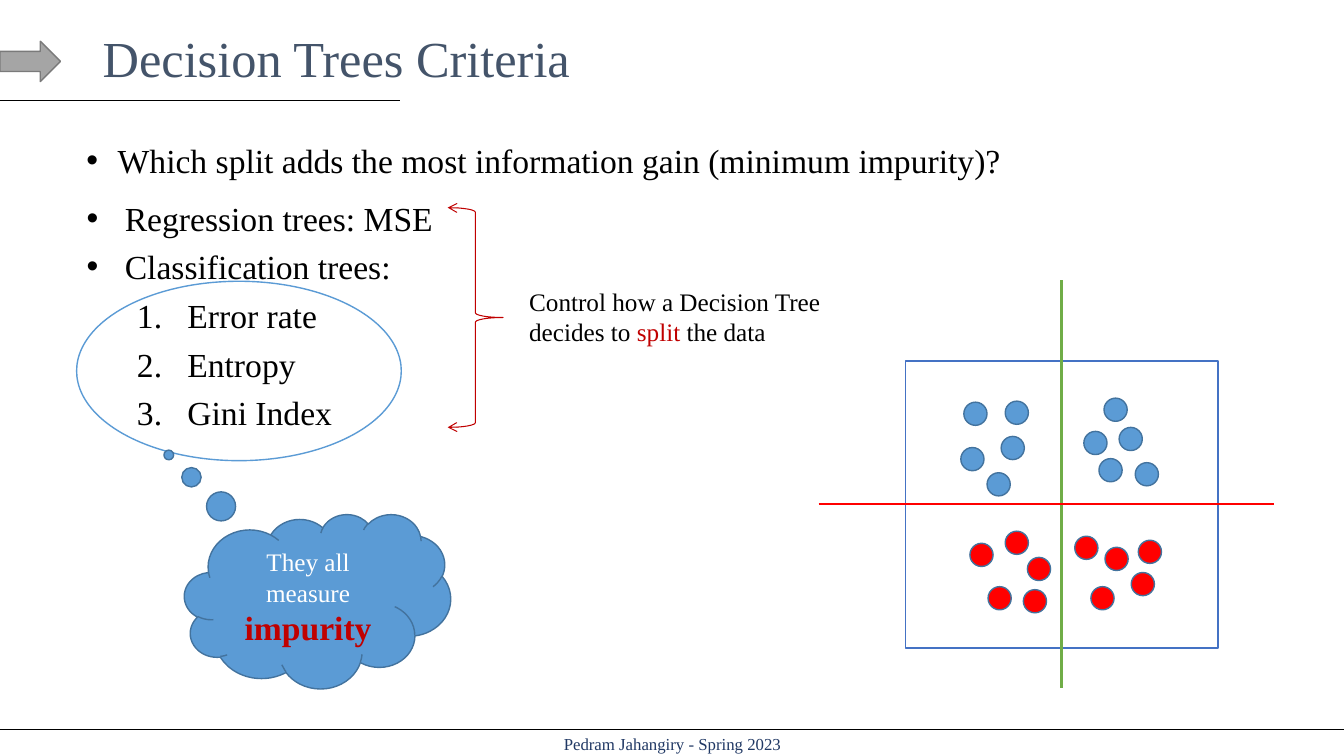
from dataclasses import dataclass

from lxml import etree
from pptx import Presentation
from pptx.dml.color import RGBColor
from pptx.enum.shapes import MSO_CONNECTOR, MSO_SHAPE as Preset
from pptx.enum.text import MSO_ANCHOR as Anchor, PP_ALIGN as Align
from pptx.oxml.ns import qn
from pptx.util import Inches, Pt


@dataclass(frozen=True)
class Theme:
    font: str = "Times New Roman"
    title_size: int = 36
    body_size: int = 24
    note_size: int = 18
    footer_size: int = 12
    black: str = "000000"
    white: str = "FFFFFF"
    title: str = "44546A"
    footer: str = "203864"
    accent: str = "C00000"
    blue: str = "5B9BD5"
    blue_edge: str = "43739E"
    frame: str = "4472C4"
    red: str = "FF0000"
    green: str = "70AD47"
    gray: str = "A5A5A5"
    gray_edge: str = "7A7A7A"


THEME = Theme()
DOT_SIZE = 0.23
BLUE_DOTS = [
    (9.56, 3.99), (9.97, 3.98), (9.53, 4.44), (9.93, 4.33), (9.79, 4.69),
    (10.95, 3.95), (10.75, 4.28), (11.1, 4.24), (10.9, 4.55), (11.26, 4.59),
]
RED_DOTS = [
    (9.62, 5.39), (9.97, 5.27), (10.19, 5.53), (9.8, 5.82), (10.15, 5.85),
    (10.66, 5.32), (10.96, 5.43), (11.29, 5.36), (11.22, 5.68), (10.82, 5.82),
]


def rgb(color):
    return RGBColor.from_string(color)


def add_shape(slide, preset, box, fill=None, edge=None, width=1):
    shape = slide.shapes.add_shape(preset, *map(Inches, box))
    shape.shadow.inherit = False
    if fill:
        shape.fill.solid()
        shape.fill.fore_color.rgb = rgb(fill)
    else:
        shape.fill.background()
    if edge:
        shape.line.color.rgb = rgb(edge)
        shape.line.width = Pt(width)
    else:
        shape.line.fill.background()
    return shape


def add_line(slide, start, end, color, width):
    line = slide.shapes.add_connector(
        MSO_CONNECTOR.STRAIGHT, *map(Inches, start + end))
    line.line.color.rgb = rgb(color)
    line.line.width = Pt(width)
    etree.SubElement(line._element.spPr, qn("a:effectLst"))


def add_arrowheads(shape):
    outline = shape.line._get_or_add_ln()
    for end in ("a:headEnd", "a:tailEnd"):
        etree.SubElement(outline, qn(end), type="arrow")


def add_text_box(slide, box, anchor=Anchor.TOP):
    frame = slide.shapes.add_textbox(*map(Inches, box)).text_frame
    frame.word_wrap = True
    frame.vertical_anchor = anchor
    return frame


def add_run(paragraph, text, size, color, bold=False):
    run = paragraph.add_run()
    run.text = text
    run.font.name = THEME.font
    run.font.size = Pt(size)
    run.font.bold = bold
    run.font.color.rgb = rgb(color)


def set_bullet(paragraph, margin, hanging, numbered=False):
    properties = paragraph._p.get_or_add_pPr()
    properties.set("marL", str(Inches(margin)))
    properties.set("indent", str(-Inches(hanging)))
    if numbered:
        etree.SubElement(properties, qn("a:buFont"), typeface="+mj-lt")
        etree.SubElement(properties, qn("a:buAutoNum"), type="arabicPeriod")
    else:
        etree.SubElement(properties, qn("a:buFont"), typeface="Arial")
        etree.SubElement(properties, qn("a:buChar"), char="•")


def add_header_and_footer(slide):
    add_line(slide, (0, 7.24), (13.33, 7.24), THEME.black, 0.5)
    footer = add_shape(slide, Preset.RECTANGLE, (4.59, 7.26, 4.16, 0.24), THEME.white)
    footer.text_frame.vertical_anchor = Anchor.MIDDLE
    paragraph = footer.text_frame.paragraphs[0]
    paragraph.alignment = Align.CENTER
    add_run(paragraph, "Pedram Jahangiry - Spring 2023", THEME.footer_size, THEME.footer)

    title = add_text_box(slide, (0.92, 0.11, 8.35, 0.82), Anchor.BOTTOM).paragraphs[0]
    title.line_spacing = 0.9
    add_run(title, "Decision Trees Criteria", THEME.title_size, THEME.title)
    add_shape(slide, Preset.RIGHT_ARROW, (0, 0.41, 0.6, 0.4), THEME.gray, THEME.gray_edge)
    add_line(slide, (0, 1), (3.97, 1), THEME.black, 0.5)


def add_criteria(slide):
    # Question and list of criteria
    question = add_text_box(slide, (0.76, 1.34, 9.9, 0.5)).paragraphs[0]
    set_bullet(question, 0.31, 0.31)
    add_run(question, "Which split adds the most information gain (minimum impurity)?",
            THEME.body_size, THEME.black)

    frame = add_text_box(slide, (0.76, 1.91, 3.79, 2.46))
    criteria = [
        ("Regression trees: MSE", 0), ("Classification trees:", 0),
        ("Error rate", 1), ("Entropy", 1), ("Gini Index", 1),
    ]
    for index, (text, level) in enumerate(criteria):
        paragraph = frame.add_paragraph() if index else frame.paragraphs[0]
        paragraph.level = level
        if index:
            paragraph.space_before = Pt(6)
        if level:
            set_bullet(paragraph, 1, 0.5, numbered=True)
        else:
            set_bullet(paragraph, 0.38, 0.38)
        add_run(paragraph, text, THEME.body_size, THEME.black)

    # Brace with its explanation
    brace = add_shape(slide, Preset.RIGHT_BRACE, (4.44, 2.06, 0.55, 2.18),
                      edge=THEME.accent, width=0.75)
    add_arrowheads(brace)
    note = add_text_box(slide, (5.15, 2.79, 3.1, 0.71)).paragraphs[0]
    add_run(note, "Control how a Decision Tree decides to ", THEME.note_size, THEME.black)
    add_run(note, "split", THEME.note_size, THEME.accent)
    add_run(note, " the data", THEME.note_size, THEME.black)


def add_split_diagram(slide):
    add_shape(slide, Preset.RECTANGLE, (8.98, 3.58, 3.1, 2.85), THEME.white, THEME.frame)
    add_line(slide, (10.53, 2.78), (10.53, 6.83), THEME.green, 2)
    add_line(slide, (8.12, 5), (12.64, 5), THEME.red, 1.5)
    for color, dots in ((THEME.blue, BLUE_DOTS), (THEME.red, RED_DOTS)):
        for left, top in dots:
            add_shape(slide, Preset.OVAL, (left, top, DOT_SIZE, DOT_SIZE),
                      color, THEME.blue_edge)


def add_impurity_callout(slide):
    add_shape(slide, Preset.OVAL, (0.76, 2.79, 3.22, 1.78), edge=THEME.blue)
    cloud = add_shape(slide, Preset.CLOUD_CALLOUT, (1.83, 5.1, 2.64, 1.73),
                      THEME.blue, THEME.blue_edge)
    cloud.adjustments[0] = -0.559
    cloud.adjustments[1] = -0.839
    cloud.text_frame.word_wrap = True
    cloud.text_frame.vertical_anchor = Anchor.MIDDLE
    paragraph = cloud.text_frame.paragraphs[0]
    paragraph.alignment = Align.CENTER
    add_run(paragraph, "They all measure ", THEME.note_size, THEME.white)
    add_run(paragraph, "impurity", THEME.body_size, THEME.accent, bold=True)


def main():
    presentation = Presentation()
    presentation.slide_width = Inches(13.33)
    presentation.slide_height = Inches(7.5)
    slide = presentation.slides.add_slide(presentation.slide_layouts[6])
    add_header_and_footer(slide)
    add_criteria(slide)
    add_split_diagram(slide)
    add_impurity_callout(slide)
    presentation.save("out.pptx")


if __name__ == "__main__":
    main()
